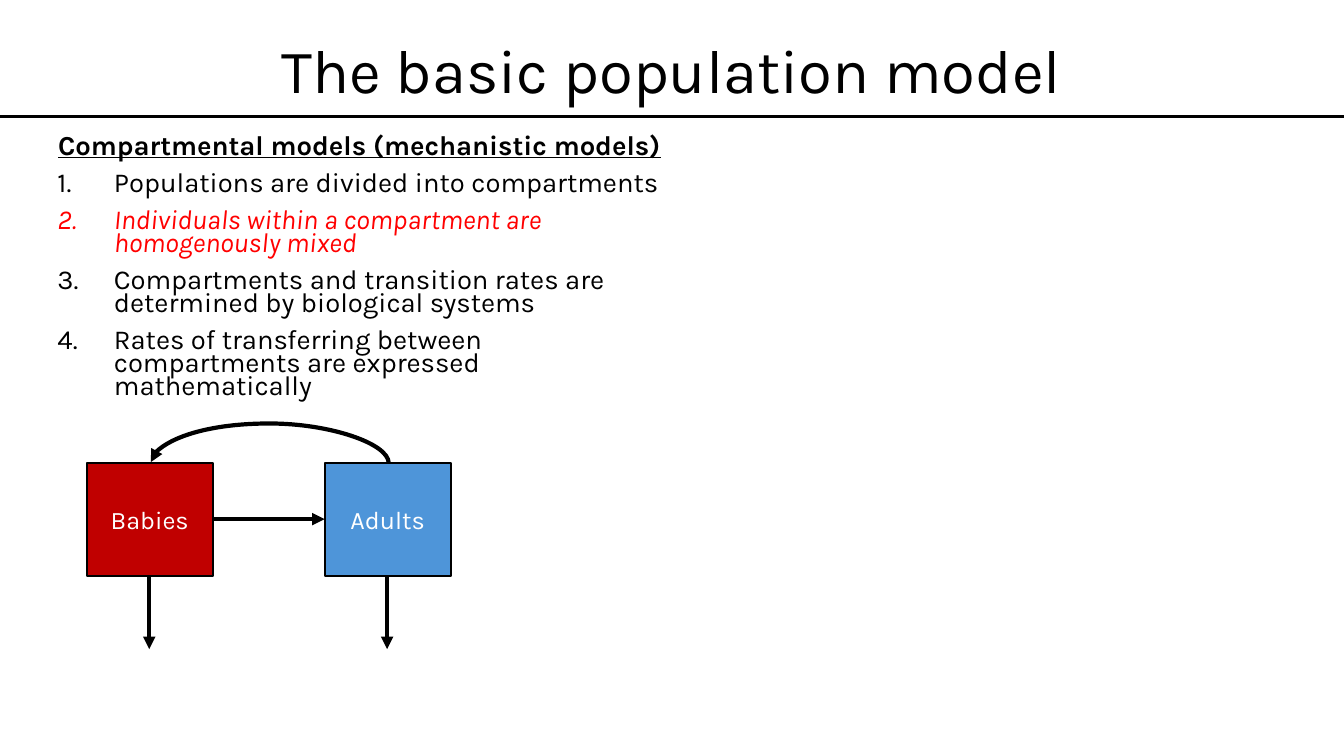
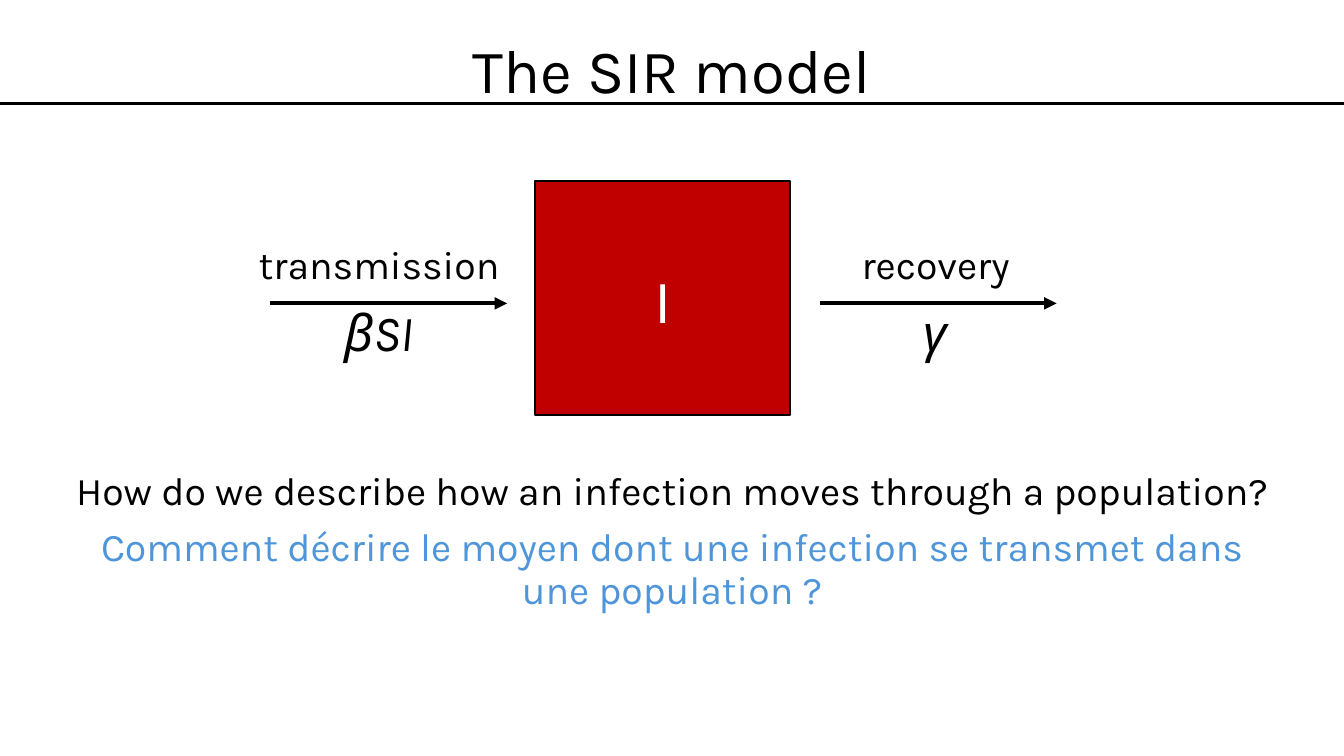
from lxml import etree
from pptx import Presentation
from pptx import util as u
from pptx.dml.color import RGBColor
from pptx.enum import shapes, text
from pptx.oxml.ns import qn

PX = 9144  # one hundredth of an inch
PAGE_W, PAGE_H = 1333, 750
FONT = "Karla"
BLACK = RGBColor(0x00, 0x00, 0x00)
WHITE = RGBColor(0xFF, 0xFF, 0xFF)
DARK_RED = RGBColor(0xC0, 0x00, 0x00)
BRIGHT_RED = RGBColor(0xFF, 0x00, 0x00)
BLUE = RGBColor(0x4E, 0x95, 0xD9)
INDENT = 56


def px(*lengths):
    return [u.Emu(length * PX) for length in lengths]


def place(shape, *frame):
    shape.left, shape.top, shape.width, shape.height = px(*frame)


def add_text(frame, words, size, color=BLACK, bold=False, italic=False, underline=False,
             align=text.PP_ALIGN.CENTER, spacing=1.0, before=0, numbered=False):
    """Fill the first paragraph if the frame is empty, else append one."""
    para = frame.add_paragraph() if frame.text else frame.paragraphs[0]
    para.alignment = align
    para.line_spacing = spacing
    para.space_before = u.Pt(before)
    span = para.add_run()
    span.text = words
    font = span.font
    font.name, font.size, font.color.rgb = FONT, u.Pt(size), color
    font.bold, font.italic, font.underline = bold, italic, underline
    properties = para._p.get_or_add_pPr()
    indent = INDENT * PX if numbered else 0
    properties.set("marL", str(indent))
    properties.set("indent", str(-indent))
    if numbered:
        etree.SubElement(properties, qn("a:buFont"), typeface=FONT)
        etree.SubElement(properties, qn("a:buAutoNum"), type="arabicPeriod")
    else:
        etree.SubElement(properties, qn("a:buNone"))


def add_line(page, start, end, width=3, arrow=True, kind=shapes.MSO_CONNECTOR.STRAIGHT):
    line = page.shapes.add_connector(kind, *px(*start, *end))
    line.line.color.rgb = BLACK
    line.line.width = u.Pt(width)
    properties = line.element.spPr
    if arrow:
        etree.SubElement(properties.find(qn("a:ln")), qn("a:tailEnd"), type="triangle")
    etree.SubElement(properties, qn("a:effectLst"))
    return line


def add_arc_arrow(page, right, left, y, rise):
    """Arrow that leaves upwards from the right point and bends over to the left one."""
    middle, half = (left + right) // 2, (right - left) // 2
    # A one px wide connector turned on its side: the adjustment is the rise in widths.
    arc = add_line(page, (middle, y - half), (middle + 1, y + half),
                   kind=shapes.MSO_CONNECTOR.CURVE)
    properties = arc.element.spPr
    transform = properties.find(qn("a:xfrm"))
    transform.set("rot", str(270 * 60000))
    transform.set("flipV", "1")
    geometry = properties.find(qn("a:prstGeom"))
    guides = geometry.find(qn("a:avLst"))
    if guides is None:
        guides = etree.SubElement(geometry, qn("a:avLst"))
    etree.SubElement(guides, qn("a:gd"), name="adj1", fmla=f"val {rise * 100000}")


def add_compartment(page, label, frame, fill, size):
    box = page.shapes.add_shape(shapes.MSO_SHAPE.RECTANGLE, *px(*frame))
    box.shadow.inherit = False
    box.fill.solid()
    box.fill.fore_color.rgb = fill
    box.line.color.rgb = BLACK
    box.line.width = u.Pt(1.5)
    box.text_frame.vertical_anchor = text.MSO_ANCHOR.MIDDLE
    add_text(box.text_frame, label, size, color=WHITE)


def add_rate(page, name, symbol, frame):
    box = page.shapes.add_textbox(*px(*frame))
    box.text_frame.word_wrap = True
    add_text(box.text_frame, name, 28, spacing=0.8, before=10)
    add_text(box.text_frame, symbol, 36, italic=True, spacing=0.8, before=18)


def add_page(deck, title, rule_y, body_frame):
    """Add a page with title and rule; return it with its body text frame."""
    page = deck.slides.add_slide(deck.slide_layouts[1])
    heading, body = page.placeholders
    place(heading, 0, 0, PAGE_W, 145)
    place(body, *body_frame)
    for holder in (heading, body):
        holder.text_frame.auto_size = text.MSO_AUTO_SIZE.NONE
        holder.text_frame.word_wrap = True
    heading.text_frame.vertical_anchor = text.MSO_ANCHOR.MIDDLE
    add_text(heading.text_frame, title, 44, spacing=0.9)
    add_line(page, (-4, rule_y), (1347, rule_y), width=2.25, arrow=False)
    return page, body.text_frame


def build_population_page(deck):
    page, body = add_page(deck, "The basic population model", 116, (47, 131, 619, 274))
    add_text(body, "Compartmental models (mechanistic models)", 19.6, bold=True,
             underline=True, spacing=0.7, before=10)
    assumptions = [
        ("Populations are divided into compartments", False),
        ("Individuals within a compartment are homogenously mixed", True),
        ("Compartments and transition rates are determined by biological systems", False),
        ("Rates of transferring between compartments are expressed mathematically", False),
    ]
    for words, stressed in assumptions:
        add_text(body, words, 19.6, color=BRIGHT_RED if stressed else BLACK, italic=stressed,
                 align=text.PP_ALIGN.LEFT, spacing=0.7, before=10, numbered=True)

    top, width, height = 459, 125, 112
    bottom = top + height
    babies, adults = 86, 322
    for label, left, fill in (("Babies", babies, DARK_RED), ("Adults", adults, BLUE)):
        add_compartment(page, label, (left, top, width, height), fill, 18)
        center = left + width // 2
        add_line(page, (center, bottom), (center, bottom + 73))
    add_line(page, (babies + width, top + height // 2), (adults, top + height // 2))
    add_arc_arrow(page, adults + width // 2 + 1, babies + width // 2 + 1, top, 40)


def build_sir_page(deck):
    page, body = add_page(deck, "The SIR model", 103, (59, 463, 1215, 203))
    add_compartment(page, "I", (531, 180, 253, 232), DARK_RED, 44)
    rates = [("transmission", "βSI", 183, 268), ("recovery", "γ", 735, 813)]
    for name, symbol, text_left, arrow_left in rates:
        add_line(page, (arrow_left, 301), (arrow_left + 235, 301))
        add_rate(page, name, symbol, (text_left, 243, 386, 127))
    questions = [
        ("How do we describe how an infection moves through a population?", BLACK),
        ("Comment décrire le moyen dont une infection se transmet dans une population ?", BLUE),
    ]
    for words, color in questions:
        add_text(body, words, 28, color=color, spacing=0.9, before=10)


def main():
    deck = Presentation()
    deck.slide_width, deck.slide_height = px(PAGE_W, PAGE_H)
    build_population_page(deck)
    build_sir_page(deck)
    deck.save("out.pptx")


if __name__ == "__main__":
    main()
